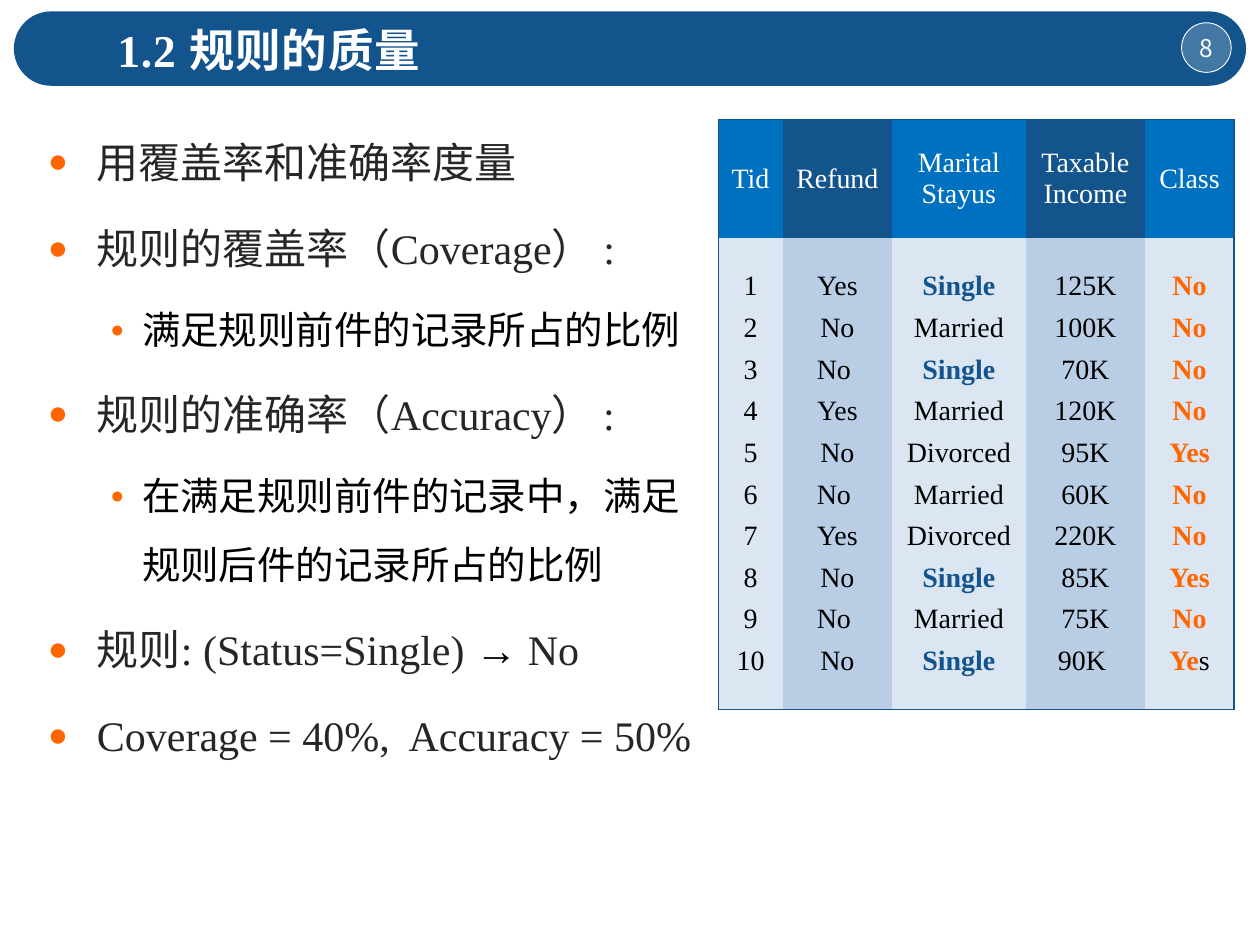
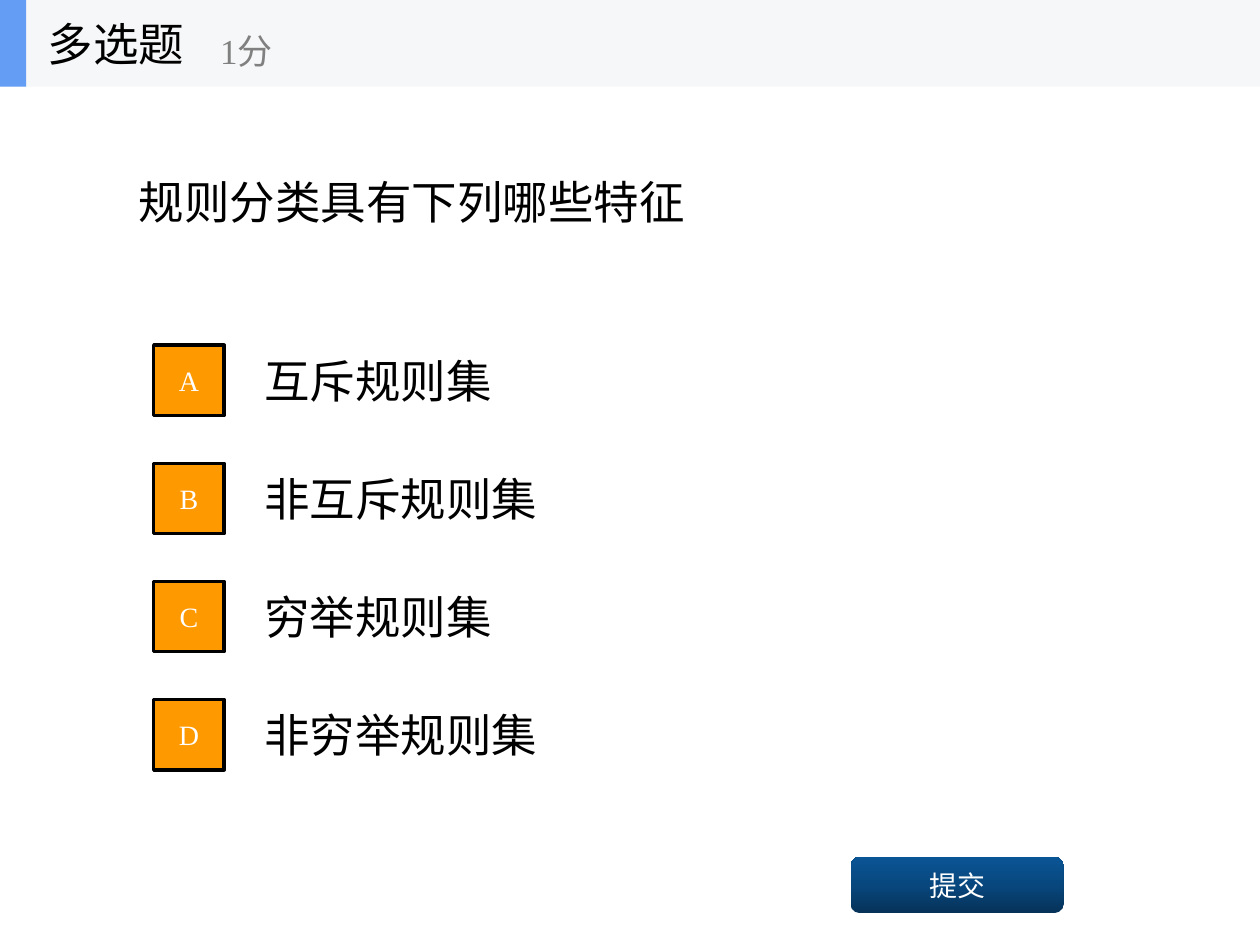
import copy

import pptx
import pptx.dml.color
import pptx.enum.shapes
import pptx.enum.text
import pptx.oxml
import pptx.oxml.ns
import pptx.util

Cm, Pt = pptx.util.Cm, pptx.util.Pt
qn = pptx.oxml.ns.qn
SHAPE = pptx.enum.shapes.MSO_SHAPE
ALIGN = pptx.enum.text.PP_ALIGN
ANCHOR = pptx.enum.text.MSO_ANCHOR

SERIF, SANS = "Times New Roman", "Noto Sans CJK SC"
NAVY, WHITE, BLACK, ORANGE = "13548C", "FFFFFF", "000000", "FF6600"
DARK, HEADS, CELLS = "262626", ("0070C0", NAVY), ("DCE6F2", "B9CDE5")
NO_STYLE = "{2D5ABB26-0587-4C30-8999-92F81FD0307C}"


# Shared helpers
def rgb(code):
    return pptx.dml.color.RGBColor.from_string(code)


def node(xml):
    space = pptx.oxml.ns.nsdecls("a")
    return pptx.oxml.parse_xml(xml.replace(">", f" {space}>", 1) if "/>" not in xml.split(">")[0] + ">"
                               else xml.replace("/>", f" {space}/>", 1))


def style(run, size, color, bold=False, face=SERIF):
    font = run.font
    font.name, font.size, font.bold = face, Pt(size), bold
    font.color.rgb = rgb(color)
    latin = run._r.rPr.find(qn("a:latin"))
    latin.addnext(node(f'<a:ea typeface="{SANS}"/>'))


def place(shape, box):
    shape.left, shape.top, shape.width, shape.height = (Cm(v) for v in box)


def write(frame, text, size, color, align=ALIGN.LEFT, bold=False, face=SERIF):
    frame.text = text
    frame.word_wrap = True
    frame.auto_size = pptx.enum.text.MSO_AUTO_SIZE.NONE
    frame.vertical_anchor = ANCHOR.MIDDLE
    for par in frame.paragraphs:
        par.alignment = align
        for run in par.runs:
            style(run, size, color, bold, face)


def label(slide, box, text, size, color):
    area = slide.shapes.add_textbox(*(Cm(v) for v in box))
    write(area.text_frame, text, size, color)


def block(slide, kind, box, fill=None, line=None, width=1):
    shape = slide.shapes.add_shape(kind, *(Cm(v) for v in box))
    shape.shadow.inherit = False
    if fill:
        shape.fill.solid()
        shape.fill.fore_color.rgb = rgb(fill)
    if line:
        shape.line.color.rgb = rgb(line)
        shape.line.width = Pt(width)
    else:
        shape.line.fill.background()
    return shape


def title(slide, box, text, color, bold=False):
    head = slide.shapes.title
    place(head, box)
    write(head.text_frame, text, 26, color, bold=bold)
    return head


# Title band with page number
def banner(slide, box, text, page):
    left, top, width, height = box
    band = block(slide, SHAPE.ROUNDED_RECTANGLE, box, NAVY)
    band.adjustments[0] = 0.5
    badge = block(slide, SHAPE.OVAL, (left + width - 1.3, top + 0.23, 1, 1), WHITE, WHITE, 0.5)
    badge.fill._xPr.find(qn("a:solidFill"))[0].append(node('<a:alpha val="21000"/>'))
    frame = badge.text_frame
    write(frame, page, 14, WHITE, ALIGN.CENTER, face=SANS)
    frame.margin_left = frame.margin_right = frame.margin_top = frame.margin_bottom = 0
    head = title(slide, (left + 1.83, top + 0.07, 11.18, 1.37), text, WHITE, True)
    for run in head.text_frame.paragraphs[0].runs:
        run._r.rPr.set("spc", "50")
    for item in (badge, band):
        slide.shapes.element.insert(2, item.element)


# Bulleted list: (level, text parts)
POINTS = [
    (0, ["用覆盖率和准确率度量"]),
    (0, ["规则的覆盖率（Coverage） :"]),
    (1, ["满足规则前件的记录所占的比例"]),
    (0, ["规则的准确率（Accuracy） :"]),
    (1, ["在满足规则前件的记录中，满足规则后件的记录所占的比例"]),
    (0, ["规则: (Status=Single) ", "→", " No"]),
    (0, ["Coverage = 40%,  Accuracy = 50%"]),
]
LEVELS = [  # size, colour, indent, hang, bullet percent, alignment
    (24, DARK, 0.99, 0.99, 80, ALIGN.JUSTIFY),
    (22, BLACK, 1.9, 0.64, 60, ALIGN.LEFT),
]


def points(slide, box):
    body = slide.placeholders[1]
    place(body, box)
    frame = body.text_frame
    write(frame, "\n".join(parts[0] for _, parts in POINTS), 24, DARK)
    frame.vertical_anchor = ANCHOR.TOP
    for row, (par, (level, parts)) in enumerate(zip(frame.paragraphs, POINTS)):
        size, color, indent, hang, scale, align = LEVELS[level]
        par.level, par.alignment = level, align
        par.line_spacing = 1.5
        par.space_before = Pt(6 if row else 0)
        props = par._p.get_or_add_pPr()
        props.set("marL", str(Cm(indent)))
        props.set("indent", str(-Cm(hang)))
        props.append(node(f'<a:buClr><a:srgbClr val="{ORANGE}"/></a:buClr>'))
        props.append(node(f'<a:buSzPct val="{scale * 1000}"/>'))
        props.append(node('<a:buChar char="●"/>'))
        for part in parts[1:]:
            par.add_run().text = part
        for run in par.runs:
            style(run, size, BLACK if run.text == "→" else color)


# Record table: heading, width, values
COLUMNS = [
    ("Tid", 1.3, [str(n) for n in range(1, 11)]),
    ("Refund", 2.2, ["Yes", "No", "No "] * 3 + ["No"]),
    ("Marital Stayus", 2.7, ["Single", "Married", "Single", "Married", "Divorced",
                             "Married", "Divorced", "Single", "Married", "Single"]),
    ("Taxable Income", 2.4, ["125K", "100K", "70K", "120K", "95K",
                             "60K", "220K", "85K", "75K", "90K "]),
    ("Class", 1.8, ["No"] * 4 + ["Yes", "No", "No", "Yes", "No", "Ye"]),
]


def border(cell, sides):
    props = cell._tc.get_or_add_tcPr()
    for side in sides:
        props.append(node(f'<a:ln{side} w="12700"><a:solidFill><a:srgbClr val="{NAVY}"/>'
                          f'</a:solidFill></a:ln{side}>'))


def records(slide, box):
    table = slide.shapes.add_table(2, len(COLUMNS), *(Cm(v) for v in box)).table
    table.first_row = table.horz_banding = False
    table._tbl.tblPr.find(qn("a:tableStyleId")).text = NO_STYLE
    table.rows[0].height = Cm(2.39)
    table.rows[1].height = Cm(box[3] - 2.39)
    last = len(COLUMNS) - 1
    for col, (head, width, values) in enumerate(COLUMNS):
        table.columns[col].width = Cm(width)
        edge = {0: "L", last: "R"}.get(col, "")
        texts = (head, WHITE, HEADS, "T"), ("\n".join(values), BLACK, CELLS, "B")
        for row, (text, color, fills, side) in enumerate(texts):
            cell = table.cell(row, col)
            border(cell, edge + side)
            cell.fill.solid()
            cell.fill.fore_color.rgb = rgb(fills[col % 2])
            cell.vertical_anchor = ANCHOR.MIDDLE
            cell.text_frame.text = text
            for line, par in enumerate(cell.text_frame.paragraphs):
                par.alignment = ALIGN.CENTER
                par.space_before = Pt(6 if line else 0)
                for run in par.runs:
                    tint = color
                    if row and col == last:
                        tint = ORANGE
                    elif run.text == "Single":
                        tint = NAVY
                    style(run, 16, tint, tint != color)
    tail = table.cell(1, last).text_frame.paragraphs[-1].add_run()
    tail.text = "s"
    style(tail, 16, BLACK)


# Quiz parts
def header(slide, box):
    left, top, width, height = box
    block(slide, SHAPE.RECTANGLE, box, "F6F7F8")
    block(slide, SHAPE.RECTANGLE, (left, top, 0.53, height), "639EF4")
    label(slide, (left + 0.71, top, 5.28, height), "多选题", 26, BLACK)
    label(slide, (left + 4.19, top + 0.3, 6.35, 1.42), "1分", 20, "808080")


def choices(slide, box, pitch):
    left, top, width, height = box
    answers = "互斥规则集", "非互斥规则集", "穷举规则集", "非穷举规则集"
    for row, (mark, answer) in enumerate(zip("ABCD", answers)):
        y = top + row * pitch
        label(slide, (left + 1.98, y, width - 1.98, height), answer, 26, BLACK)
        tile = block(slide, SHAPE.RECTANGLE, (left, y + 0.18, 1.42, 1.42), "FF9900", BLACK, 2)
        write(tile.text_frame, mark, 16, WHITE, ALIGN.CENTER)


def button(slide, box, text):
    shape = block(slide, SHAPE.ROUNDED_RECTANGLE, box)
    fill = shape.fill
    fill.gradient()
    fill.gradient_angle = 90
    stops = shape.element.find(".//" + qn("a:gsLst"))
    stops.insert(1, copy.deepcopy(stops[0]))
    for step, (stop, code) in enumerate(zip(fill.gradient_stops, ("063258", "08477E", "0A5595"))):
        stop.position = step / 2
        stop.color.rgb = rgb(code)
    write(shape.text_frame, text, 16, WHITE, ALIGN.CENTER)


# Slides
def quality(deck):
    slide = deck.slides.add_slide(deck.slide_layouts[1])
    banner(slide, (0.28, 0.23, 24.84, 1.5), "1.2 规则的质量", "8")
    points(slide, (0.71, 2.11, 13.64, 13.54))
    records(slide, (14.48, 2.41, 10.4, 11.89))


def quiz(deck):
    slide = deck.slides.add_slide(deck.slide_layouts[5])
    title(slide, (2.54, 1.75, 20.32, 4.6), "规则分类具有下列哪些特征", BLACK)
    choices(slide, (3.1, 6.78, 19.76, 1.78), 2.38)
    button(slide, (17.15, 17.27, 4.29, 1.14), "提交")
    header(slide, (0, 0, 25.4, 1.75))


def main():
    deck = pptx.Presentation()
    deck.slide_width, deck.slide_height = Cm(25.4), Cm(19.05)
    quality(deck)
    quiz(deck)
    deck.save("out.pptx")


if __name__ == "__main__":
    main()
